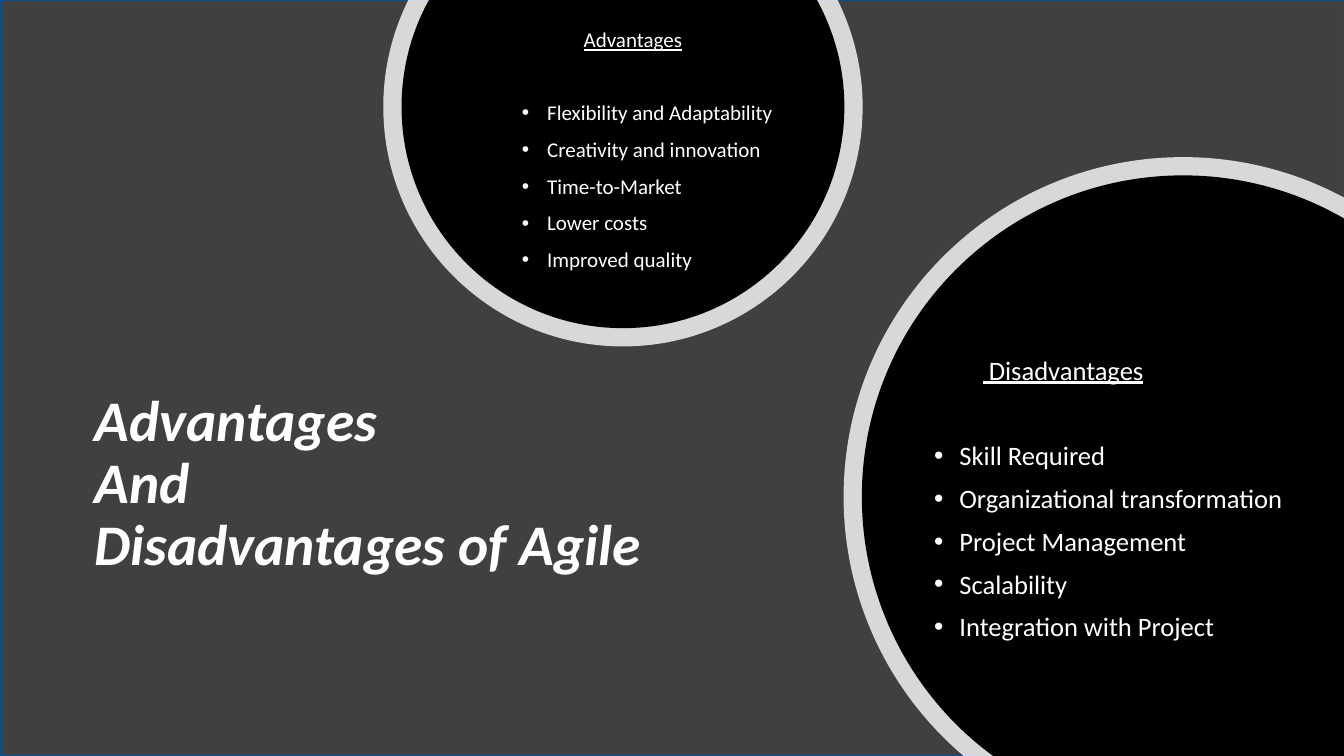
import math

import lxml.etree
import pptx
import pptx.dml.color
import pptx.enum.shapes
import pptx.oxml.ns
import pptx.util
from pptx.util import Cm, Pt

COLORS = {
    "background": "454545",
    "panel": "404040",
    "panel_edge": "0B5292",
    "ring": "FFFFFF",
    "disc": "000000",
    "text": "FFFFFF",
}
SLIDE_WIDTH, SLIDE_HEIGHT = 33.87, 19.05
RING_WIDTH = 0.46
LINE_SPACING = 0.9
QUARTER = math.pi / 2


def rgb(name):
    return pptx.dml.color.RGBColor.from_string(COLORS[name])


def write_paragraph(paragraph, text, font_format):
    paragraph.line_spacing = LINE_SPACING
    paragraph.text = text
    for run in paragraph.runs:
        run.font.name = "Calibri"
        run.font.color.rgb = rgb("text")
        for attribute, value in font_format.items():
            setattr(run.font, attribute, value)


deck = pptx.Presentation()
deck.slide_width, deck.slide_height = Cm(SLIDE_WIDTH), Cm(SLIDE_HEIGHT)
slide = deck.slides.add_slide(deck.slide_layouts[6])
slide.background.fill.solid()
slide.background.fill.fore_color.rgb = rgb("background")

panel = slide.shapes.add_shape(
    pptx.enum.shapes.MSO_SHAPE.RECTANGLE, 0, 0, deck.slide_width, deck.slide_height)
panel.shadow.inherit = False
panel.fill.solid()
panel.fill.fore_color.rgb = rgb("panel")
panel.line.color.rgb = rgb("panel_edge")
panel.line.width = Pt(1)

NO_INSETS = {
    "margin_left": 0, "margin_top": 0, "margin_right": 0, "margin_bottom": 0,
    "word_wrap": True,
}

title = slide.shapes.add_textbox(Cm(2.38), Cm(9.87), Cm(16.3), Cm(4.8)).text_frame
for attribute, value in NO_INSETS.items():
    setattr(title, attribute, value)
write_paragraph(title.paragraphs[0], "Advantages\vAnd\vDisadvantages of Agile",
                {"size": Pt(41), "bold": True, "italic": True})

topics = [
    {
        "center": (15.7, 2.69), "radius": 6.04,
        "text_box": (13.15, 0.74, 9, 6.3), "size": 15,
        "heading": "Advantages", "heading_indent": 1.56, "heading_gap": 36.2,
        "points": ["Flexibility and Adaptability", "Creativity and innovation",
                   "Time-to-Market", "Lower costs", "Improved quality"],
    },
    {
        "center": (29.82, 12.52), "radius": 8.56,
        "text_box": (23.54, 9, 9.2, 7.3), "size": 19,
        "heading": " Disadvantages", "heading_indent": 1.23, "heading_gap": 40.7,
        "points": ["Skill Required", "Organizational transformation",
                   "Project Management", "Scalability", "Integration with Project"],
    },
]

for topic in topics:
    center_x, center_y = topic["center"]
    for part, radius in (("ring", topic["radius"]), ("disc", topic["radius"] - RING_WIDTH)):
        # The arc runs clockwise between the two points where it meets the slide's edges.
        if center_y < radius:
            start = math.asin(-center_y / radius)
            end = math.pi - start
            corners = []
        else:
            start = math.pi - math.asin((SLIDE_HEIGHT - center_y) / radius)
            end = 2 * math.pi - math.acos((SLIDE_WIDTH - center_x) / radius)
            corners = [(SLIDE_WIDTH, SLIDE_HEIGHT)]
        turns = [turn * QUARTER for turn in range(4) if start < turn * QUARTER < end]
        knots = [start, *turns, end]

        # Each stretch between knots gives two Bézier handles and an end point.
        outline = [(center_x + radius * math.cos(start), center_y + radius * math.sin(start))]
        for first, last in zip(knots, knots[1:]):
            handle = 4 / 3 * math.tan((last - first) / 4)
            for angle, pull in ((first, handle), (last, -handle), (last, 0)):
                outline.append((
                    center_x + radius * (math.cos(angle) - pull * math.sin(angle)),
                    center_y + radius * (math.sin(angle) + pull * math.cos(angle))))
        outline = [(Cm(x), Cm(y)) for x, y in outline + corners]
        builder = slide.shapes.build_freeform(*outline[0])
        builder.add_line_segments(outline[1:], close=True)
        circle = builder.convert_to_shape()

        segments = circle._element.findall(".//" + pptx.oxml.ns.qn("a:lnTo"))
        for index in range(0, 3 * (len(knots) - 1), 3):
            curve = lxml.etree.Element(pptx.oxml.ns.qn("a:cubicBezTo"))
            segments[index].addprevious(curve)
            for segment in segments[index:index + 3]:
                curve.append(segment[0])
                segment.getparent().remove(segment)

        circle.shadow.inherit = False
        circle.line.fill.background()
        circle.fill.solid()
        circle.fill.fore_color.rgb = rgb(part)
        if part == "ring":
            ring_color = circle.fill._xPr.find(".//" + pptx.oxml.ns.qn("a:srgbClr"))
            lxml.etree.SubElement(ring_color, pptx.oxml.ns.qn("a:alpha"), val="80000")

    frame = slide.shapes.add_textbox(*(Cm(length) for length in topic["text_box"])).text_frame
    for attribute, value in NO_INSETS.items():
        setattr(frame, attribute, value)
    heading = frame.paragraphs[0]
    heading._p.get_or_add_pPr().set("marL", str(Cm(topic["heading_indent"])))
    write_paragraph(heading, topic["heading"], {"size": Pt(topic["size"]), "underline": True})

    for index, point in enumerate(topic["points"]):
        bullet = frame.add_paragraph()
        properties = bullet._p.get_or_add_pPr()
        properties.set("marL", str(Cm(0.64)))
        properties.set("indent", str(-Cm(0.64)))
        bullet_font = lxml.etree.SubElement(properties, pptx.oxml.ns.qn("a:buFont"))
        bullet_font.set("typeface", "Arial")
        lxml.etree.SubElement(properties, pptx.oxml.ns.qn("a:buChar")).set("char", "•")
        bullet.space_before = Pt(10 if index else topic["heading_gap"])
        write_paragraph(bullet, point, {"size": Pt(topic["size"])})

deck.save("out.pptx")
